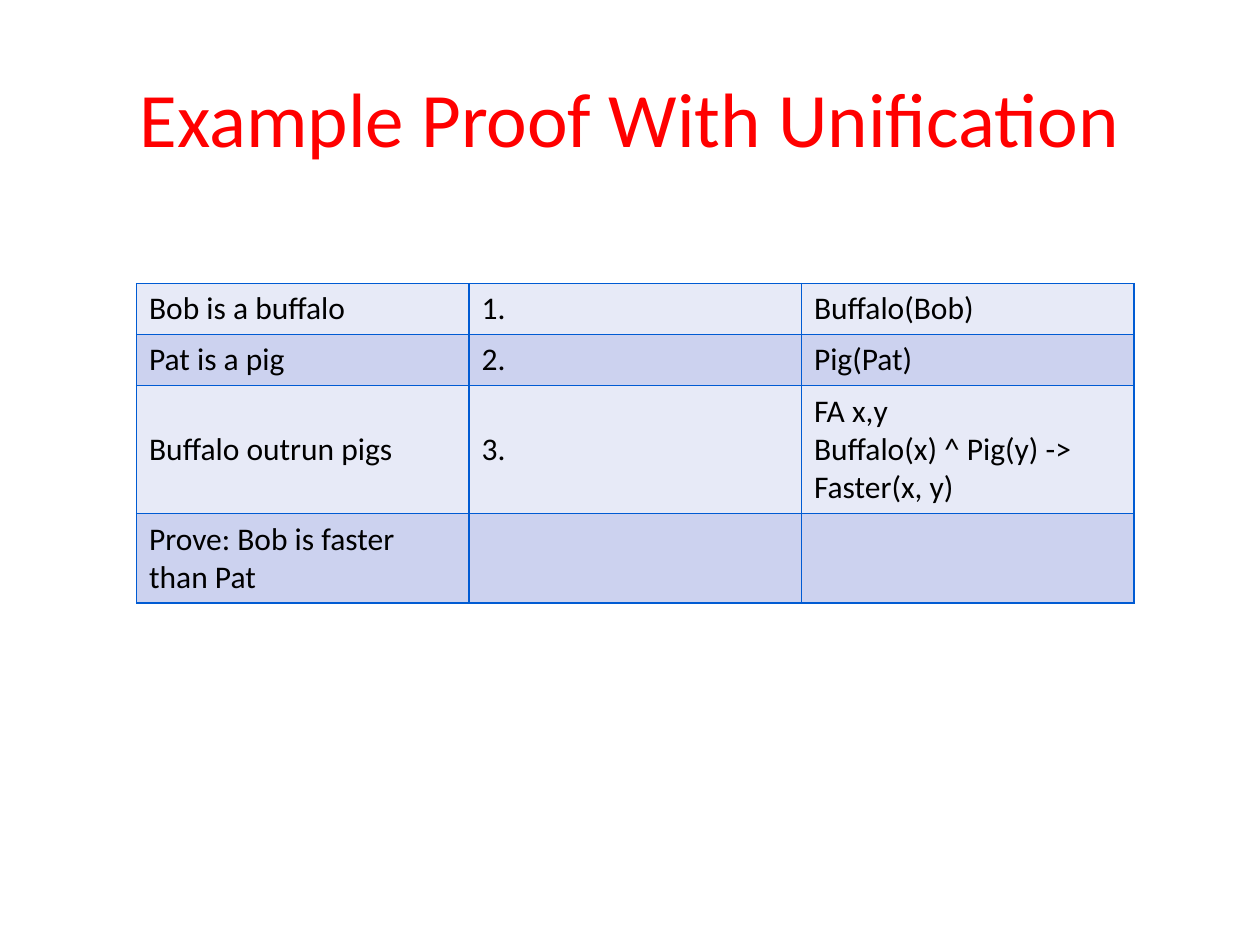
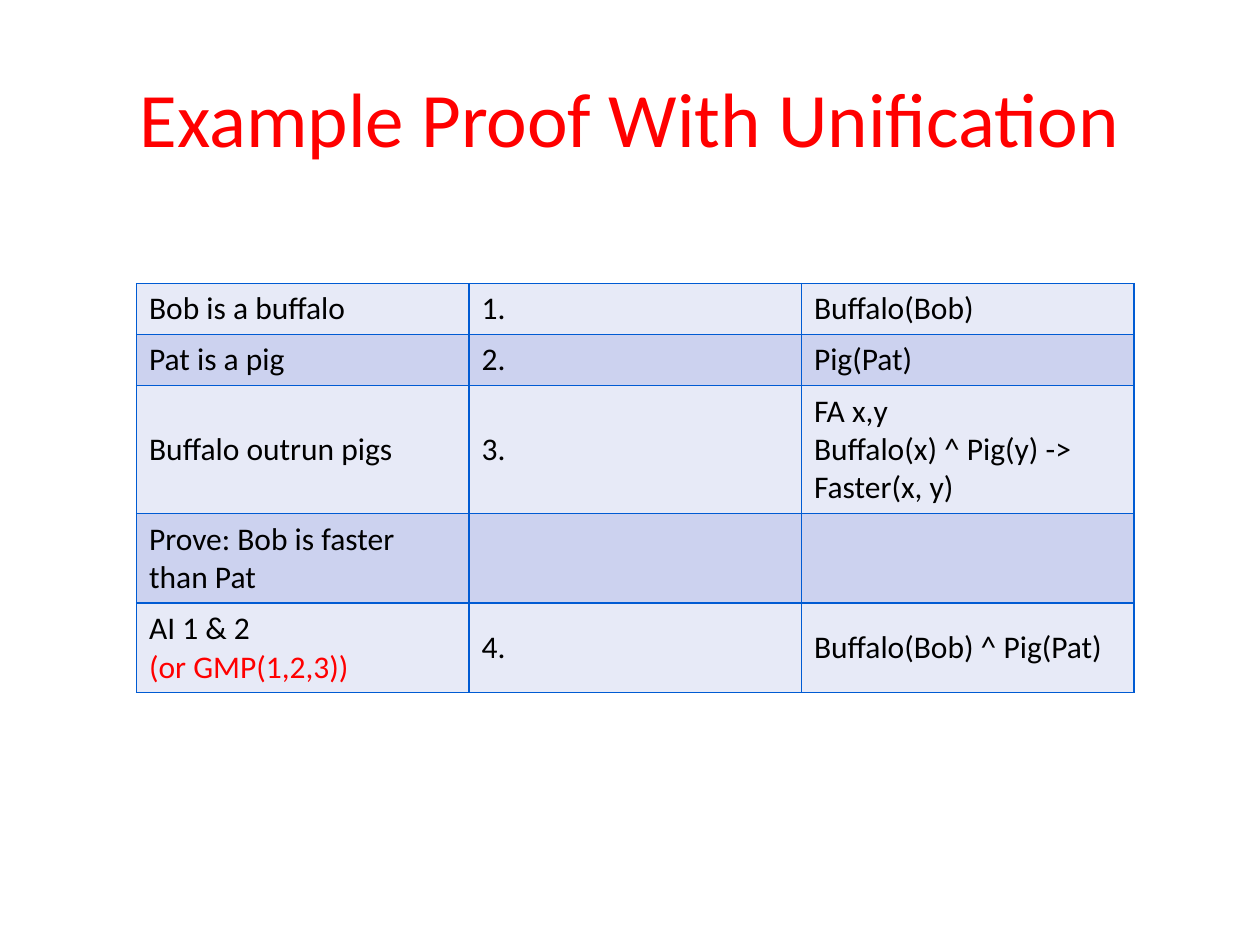
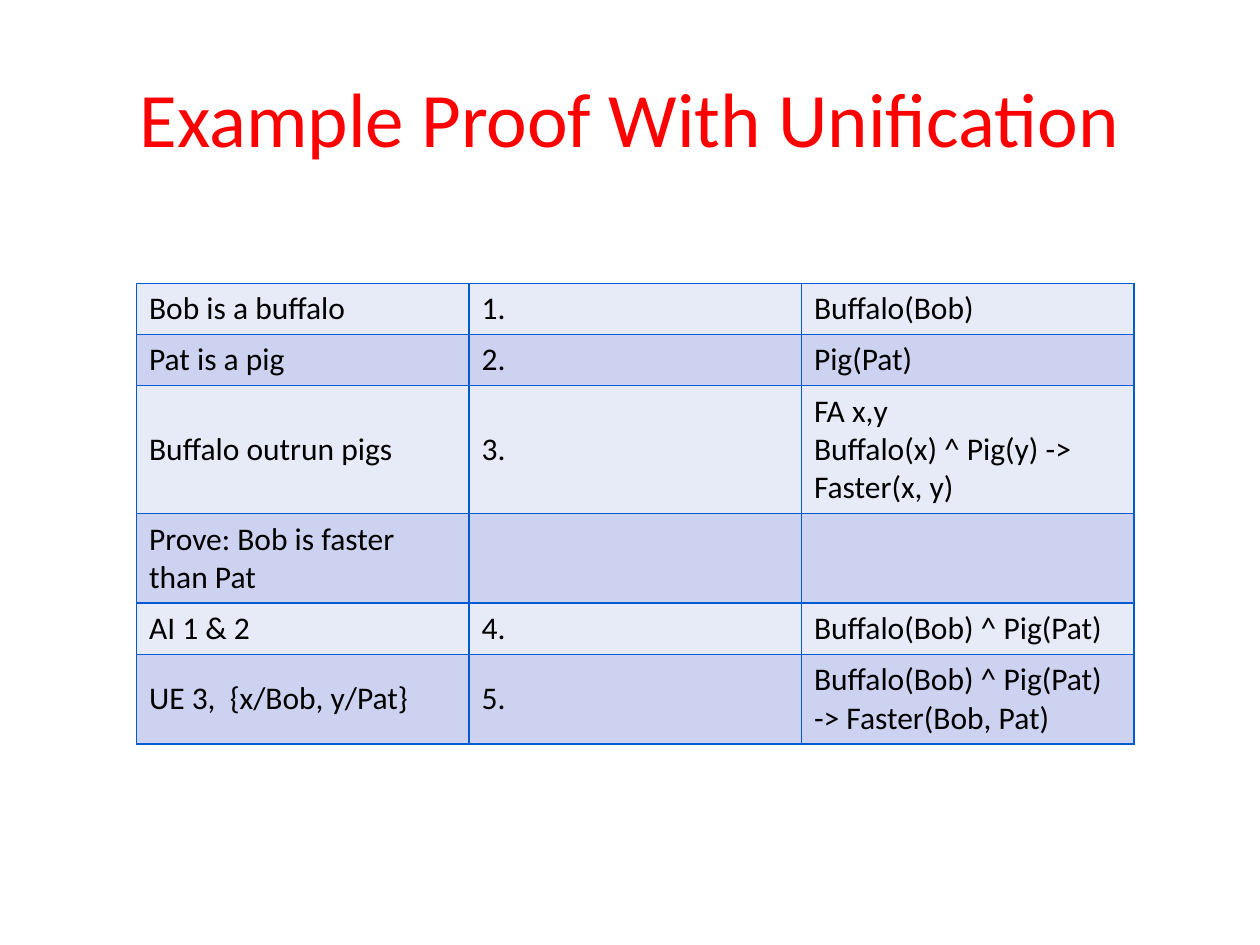
from lxml import etree
from pptx import Presentation
from pptx.dml.color import RGBColor
from pptx.enum.text import MSO_ANCHOR, PP_ALIGN
from pptx.oxml.ns import qn
from pptx.util import Pt

MIDDLE = MSO_ANCHOR.MIDDLE
CENTER = PP_ALIGN.CENTER

RED = RGBColor(0xFF, 0x00, 0x00)
BLACK = RGBColor(0x00, 0x00, 0x00)
BORDER_BLUE = RGBColor(0x00, 0x5B, 0xD3)
BANDS = (RGBColor(0xE7, 0xEA, 0xF7), RGBColor(0xCC, 0xD2, 0xEF))

FONT = "Calibri"
TITLE = "Example Proof With Unification"
TITLE_ONLY = 5  # layout index in the default template

PROOF_LEFT, PROOF_TOP, PROOF_WIDTH = 78, 162, 570
ROW_HEIGHT, EXTRA_LINE = 29.2, 21.4

# Proof steps: reason, step number, sentence ("\v" breaks the line)
PREMISES = [
    ("Bob is a buffalo", "1.", "Buffalo(Bob)"),
    ("Pat is a pig", "2.", "Pig(Pat)"),
    ("Buffalo outrun pigs", "3.",
     "FA x,y\vBuffalo(x) ^ Pig(y) -> Faster(x, y)"),
    ("Prove: Bob is faster than Pat", "", ""),
]
CONJUNCTION = "Buffalo(Bob) ^ Pig(Pat)"
AND_STEP_WITH_GMP = ("AI 1 & 2\v(or GMP(1,2,3))", "4.", CONJUNCTION)
AND_STEP = ("AI 1 & 2", "4.", CONJUNCTION)
UNIFY_STEP = ("UE 3,  {x/Bob, y/Pat}", "5.",
              CONJUNCTION + " -> Faster(Bob, Pat)")


def format_paragraph(paragraph, size, color):
    paragraph.font.name = FONT
    paragraph.font.size = Pt(size)
    paragraph.font.color.rgb = color


def add_proof_slide(prs):
    slide = prs.slides.add_slide(prs.slide_layouts[TITLE_ONLY])
    title = slide.shapes.title
    title.left, title.top = Pt(36), Pt(21.6)
    title.width, title.height = Pt(648), Pt(90)
    title.text = TITLE
    title.text_frame.vertical_anchor = MIDDLE
    heading = title.text_frame.paragraphs[0]
    heading.alignment = CENTER
    format_paragraph(heading, 44, RED)
    return slide


def set_borders(cell):
    properties = cell._tc.get_or_add_tcPr()
    for position, side in enumerate(("a:lnL", "a:lnR", "a:lnT", "a:lnB")):
        line = etree.Element(qn(side), w=str(Pt(1)))
        fill = etree.SubElement(line, qn("a:solidFill"))
        etree.SubElement(fill, qn("a:srgbClr"), val=str(BORDER_BLUE))
        properties.insert(position, line)


def fill_cell(cell, text, band):
    cell.text = text
    cell.vertical_anchor = MIDDLE
    cell.fill.solid()
    cell.fill.fore_color.rgb = band
    set_borders(cell)
    format_paragraph(cell.text_frame.paragraphs[0], 18, BLACK)


def add_proof_table(slide, steps, extra_lines):
    """Rows start one line high and grow; extra_lines counts wrapped lines."""
    rows_height = len(steps) * ROW_HEIGHT
    frame = slide.shapes.add_table(
        len(steps), 3, Pt(PROOF_LEFT), Pt(PROOF_TOP),
        Pt(PROOF_WIDTH), Pt(rows_height))
    frame.height = Pt(rows_height + extra_lines * EXTRA_LINE)
    proof = frame.table
    proof.first_row = False
    proof.horz_banding = False
    for row, step in enumerate(steps):
        for column, text in enumerate(step):
            fill_cell(proof.cell(row, column), text, BANDS[row % 2])
    return proof


def main():
    prs = Presentation()
    prs.slide_width, prs.slide_height = Pt(720), Pt(540)

    # Premises and goal
    add_proof_table(add_proof_slide(prs), PREMISES, 3)

    # And-introduction, with the alternative rule in red
    steps = PREMISES + [AND_STEP_WITH_GMP]
    proof = add_proof_table(add_proof_slide(prs), steps, 4)
    reason = proof.cell(len(PREMISES), 0).text_frame.paragraphs[0]
    reason.runs[-1].font.color.rgb = RED

    # Universal elimination
    steps = PREMISES + [AND_STEP, UNIFY_STEP]
    add_proof_table(add_proof_slide(prs), steps, 4)

    prs.save("out.pptx")


if __name__ == "__main__":
    main()
